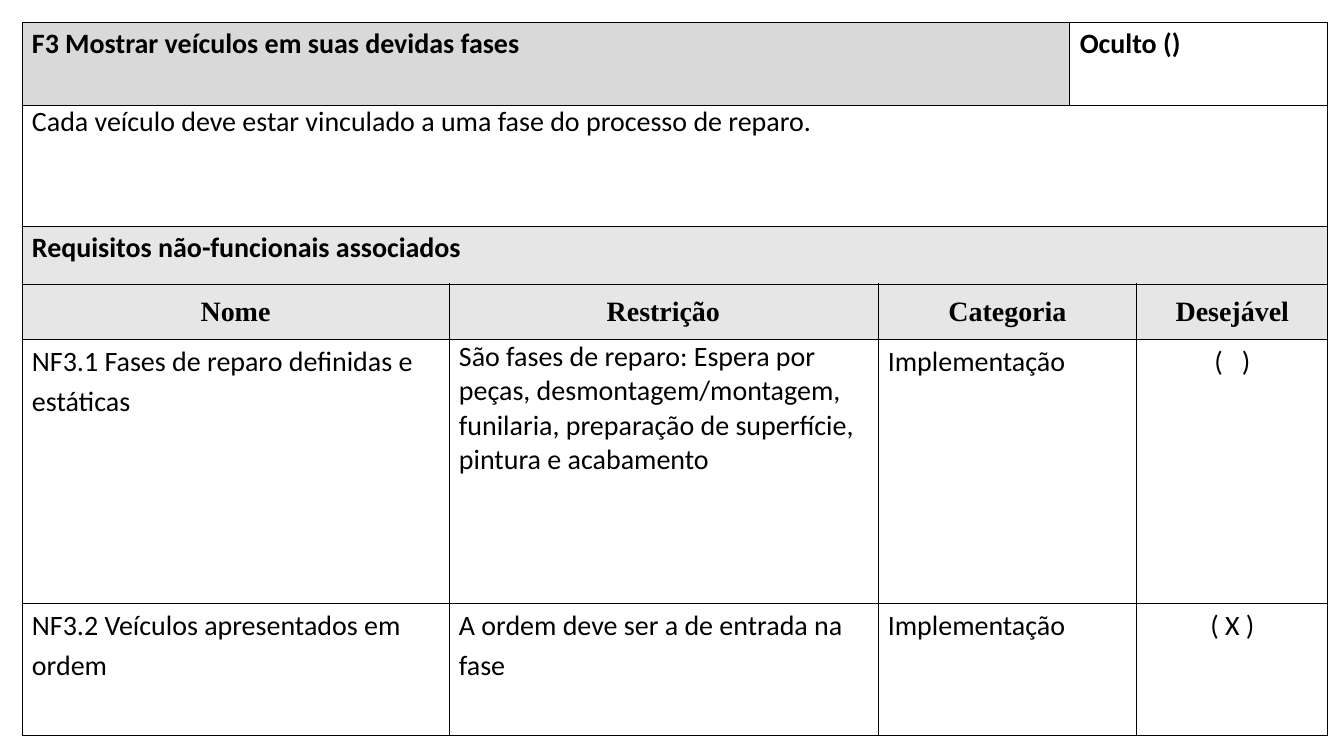
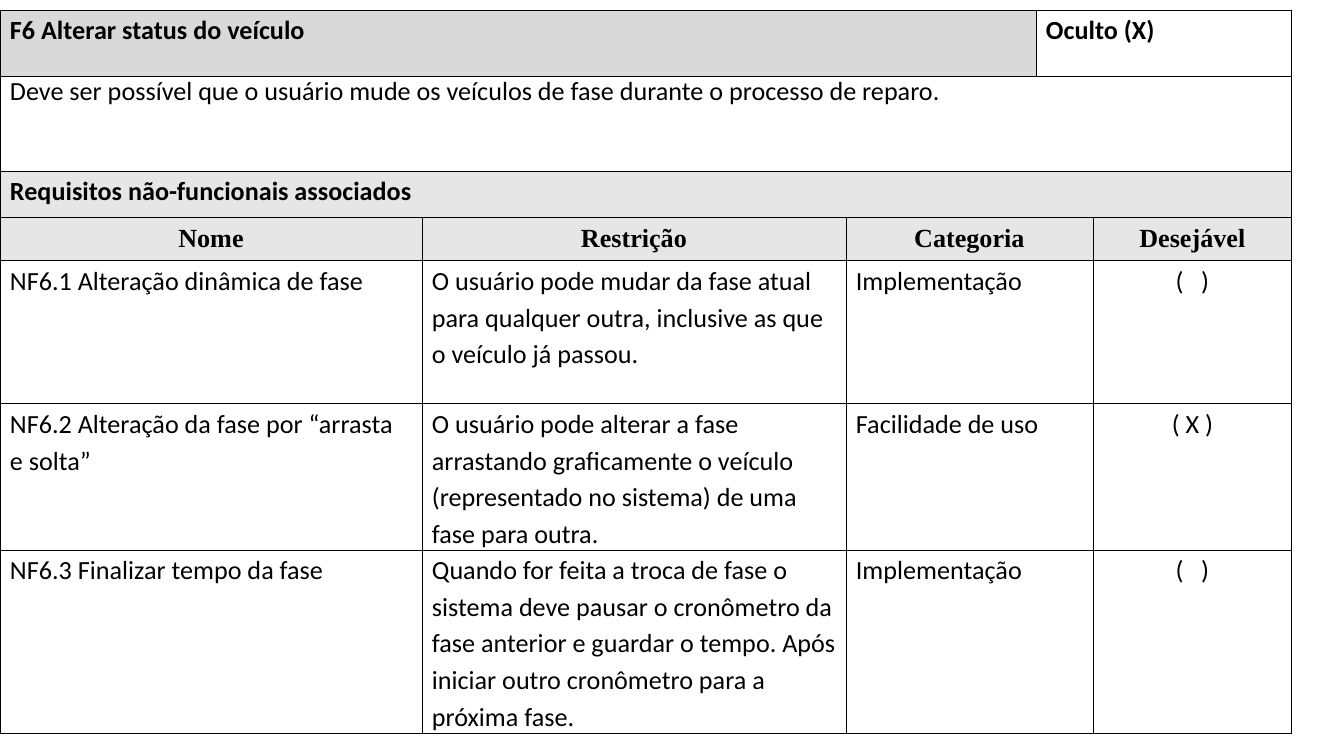
from lxml.etree import SubElement
from pptx import Presentation
from pptx.dml.color import RGBColor
from pptx.enum.text import MSO_ANCHOR, PP_ALIGN
from pptx.oxml.ns import qn
from pptx.util import Pt

PX = 914400 / 134.4
BLACK = RGBColor(0x00, 0x00, 0x00)
TITLE_GREY = RGBColor(0xD9, 0xD9, 0xD9)
HEADER_GREY = RGBColor(0xE6, 0xE6, 0xE6)
BODY_FONT, HEADER_FONT = "Calibri", "Times New Roman"
CELL_INSET = 10
BORDER = Pt(0.5)

SECTION = "Requisitos não-funcionais associados"
HEADERS = ["Nome", "Restrição", "Categoria", "Desejável"]
FIELD_SPANS = [(0, 0), (1, 1), (2, 3), (4, 4)]  # first and last grid column

# Paragraph styles
LOOSE = {"spacing": 1.15, "after": 10}
TIGHT = {}
HEADER = {"before": 2, "after": 2, "align": PP_ALIGN.CENTER, "anchor": MSO_ANCHOR.MIDDLE,
          "bold": True, "font": HEADER_FONT, "fill": HEADER_GREY}

FEATURES = [
    {
        "title": "F3 Mostrar veículos em suas devidas fases",
        "hidden": "Oculto ()",
        "description": "Cada veículo deve estar vinculado a uma fase do processo de reparo.",
        "requirements": [
            ("NF3.1 Fases de reparo definidas e estáticas",
             "São fases de reparo: Espera por peças, desmontagem/montagem, funilaria, "
             "preparação de superfície, pintura e acabamento",
             "Implementação", "(   )", TIGHT),
            ("NF3.2 Veículos apresentados em ordem",
             "A ordem deve ser a de entrada na fase",
             "Implementação", "( X )", LOOSE),
        ],
        "origin": (22, 22),
        "cols": [427, 429, 192, 67, 191],
        "rows": [83, 121, 58, 56, 264, 132],
        "size": 15,
    },
    {
        "title": "F6 Alterar status do veículo",
        "hidden": "Oculto (X)",
        "description": "Deve ser possível que o usuário mude os veículos de fase "
                       "durante o processo de reparo.",
        "requirements": [
            ("NF6.1 Alteração dinâmica de fase",
             "O usuário pode mudar da fase atual para qualquer outra, "
             "inclusive as que o veículo já passou.",
             "Implementação", "(   )", LOOSE),
            ("NF6.2 Alteração da fase por “arrasta e solta”",
             "O usuário pode alterar a fase arrastando graficamente o veículo "
             "(representado no sistema) de uma fase para outra.",
             "Facilidade de uso", "( X )", LOOSE),
            ("NF6.3 Finalizar tempo da fase",
             "Quando for feita a troca de fase o sistema deve pausar o cronômetro da fase "
             "anterior e guardar o tempo. Após iniciar outro cronômetro para a próxima fase.",
             "Implementação", "(   )", LOOSE),
        ],
        "origin": (0, 10),
        "cols": [422, 424, 190, 57, 199],
        "rows": [66, 95, 46, 44, 143, 143, 181],
        "size": 14,
    },
]


def px(n):
    return round(n * PX)


def add_borders(cell):
    tc_pr = cell._tc.get_or_add_tcPr()
    for side in ("a:lnL", "a:lnR", "a:lnT", "a:lnB"):
        ln = SubElement(tc_pr, qn(side), w=str(BORDER))
        fill = SubElement(ln, qn("a:solidFill"))
        SubElement(fill, qn("a:srgbClr"), val=str(BLACK))


def write_cell(table, row, span, text, size, spacing=1.0, before=0, after=0, bold=False,
               align=PP_ALIGN.LEFT, anchor=MSO_ANCHOR.TOP, font=BODY_FONT, fill=None):
    """Merge the span of grid columns in a row, then fill and style it."""
    first, last = span
    cell = table.cell(row, first)
    if last > first:
        cell.merge(table.cell(row, last))
    cell.margin_left = cell.margin_right = px(CELL_INSET)
    cell.margin_top = cell.margin_bottom = 0
    cell.vertical_anchor = anchor
    for col in range(first, last + 1):
        add_borders(table.cell(row, col))
    if fill is None:
        cell.fill.background()
    else:
        cell.fill.solid()
        cell.fill.fore_color.rgb = fill
    p = cell.text_frame.paragraphs[0]
    p.text = text
    p.alignment = align
    p.line_spacing = spacing
    p.space_before, p.space_after = Pt(before), Pt(after)
    f = p.runs[0].font
    f.name, f.size, f.bold = font, Pt(size), bold
    f.color.rgb = BLACK


def add_feature_slide(prs, feature):
    s = prs.slides.add_slide(prs.slide_layouts[6])
    cols, rows, size = feature["cols"], feature["rows"], feature["size"]
    left, top = feature["origin"]
    table = s.shapes.add_table(len(rows), len(cols), px(left), px(top),
                               px(sum(cols)), px(sum(rows))).table
    table.first_row = table.horz_banding = False
    for column, width in zip(table.columns, cols):
        column.width = px(width)
    for row, height in zip(table.rows, rows):
        row.height = px(height)

    write_cell(table, 0, (0, 2), feature["title"], size, bold=True, fill=TITLE_GREY, **LOOSE)
    write_cell(table, 0, (3, 4), feature["hidden"], size, bold=True, **LOOSE)
    write_cell(table, 1, (0, 4), feature["description"], size, **TIGHT)
    write_cell(table, 2, (0, 4), SECTION, size, bold=True, spacing=1.15, fill=HEADER_GREY)
    for span, header in zip(FIELD_SPANS, HEADERS):
        write_cell(table, 3, span, header, size, **HEADER)
    for row, (*fields, restriction_style) in enumerate(feature["requirements"], start=4):
        styles = [LOOSE, restriction_style, LOOSE, {**LOOSE, "align": PP_ALIGN.CENTER}]
        for span, text, style in zip(FIELD_SPANS, fields, styles):
            write_cell(table, row, span, text, size, **style)


def main():
    prs = Presentation()
    prs.slide_width, prs.slide_height = px(1344), px(756)
    for feature in FEATURES:
        add_feature_slide(prs, feature)
    prs.save("out.pptx")


if __name__ == "__main__":
    main()
